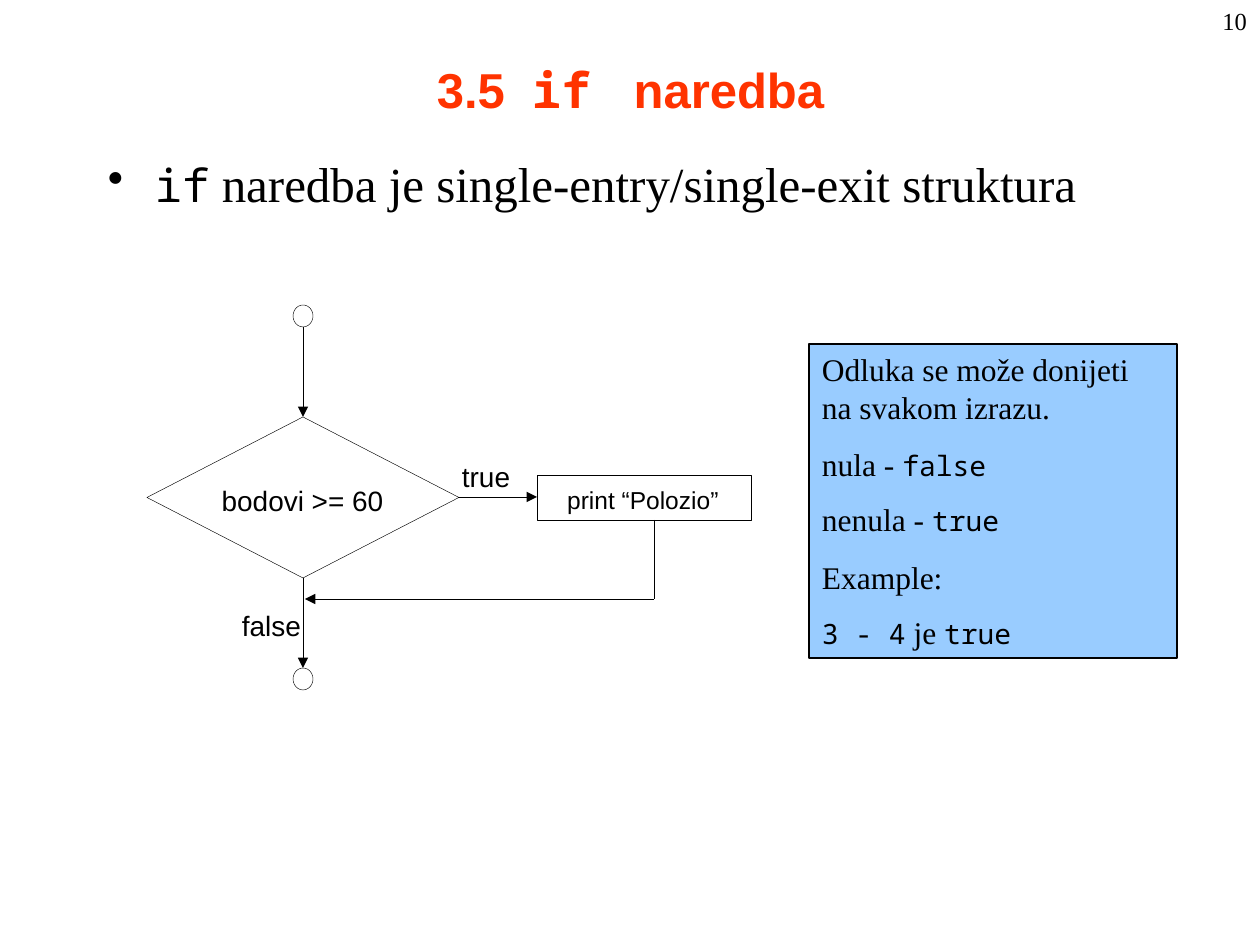
"""Build the slide on the if statement with its flowchart and note."""
from pptx import Presentation
from pptx import util as u
from pptx.dml.color import RGBColor
from pptx.enum import shapes, text
from pptx.oxml.ns import qn
from lxml import etree

SCALE = 914400 / 126


def px(n):
    return u.Emu(round(n * SCALE))


class Theme:
    black, white, red, blue = (
        RGBColor.from_string(c) for c in ("000000", "FFFFFF", "FF3300", "99CCFF"))
    thin, edge = 0.25, 0.75
    sans, mono, serif = "Arial", "Noto Sans Mono", "Times New Roman"
    fonts = {
        "title": (sans, 28, True, red),
        "code": (mono, 28, True, red),
        "body": (serif, 28, False, black),
        "bodycode": (mono, 26, False, black),
        "flow": (sans, 16, False, black),
        "step": (sans, 14, False, black),
        "note": (serif, 18, False, black),
        "notecode": (mono, 16, False, black),
        "page": (serif, 14, False, black),
    }


class Deck:
    def __init__(self, theme):
        self.theme = theme
        self.file = Presentation()
        self.file.slide_width, self.file.slide_height = px(1260), px(945)
        self.slide = self.file.slides.add_slide(self.file.slide_layouts[6])

    def style(self, item, values):
        for name, value in values.items():
            setattr(item, name, value)

    def fill_text(self, shape, paras, align="LEFT", anchor="TOP", pad=(13, 6)):
        frame = shape.text_frame
        side, top = map(px, pad)
        self.style(frame, {
            "word_wrap": True, "vertical_anchor": getattr(text.MSO_ANCHOR, anchor),
            "margin_left": side, "margin_right": side,
            "margin_top": top, "margin_bottom": top})
        for i, (gap, runs) in enumerate(paras):
            para = frame.add_paragraph() if i else frame.paragraphs[0]
            self.style(para, {"alignment": getattr(text.PP_ALIGN, align),
                              "space_before": u.Pt(gap)})
            for kind, words in runs:
                run = para.add_run()
                run.text = words
                face, size, bold, color = self.theme.fonts[kind]
                self.style(run.font, {"name": face, "size": u.Pt(size), "bold": bold})
                run.font.color.rgb = color
        return frame

    def label(self, box, paras, **look):
        item = self.slide.shapes.add_textbox(*map(px, box))
        return self.fill_text(item, paras, **look)

    def bullet(self, para, indent):
        props = para._p.get_or_add_pPr()
        props.set("marL", str(px(indent)))
        props.set("indent", str(px(-indent)))
        etree.SubElement(props, qn("a:buChar")).set("char", "•")

    def shape(self, kind, box, fill=None, width=Theme.thin):
        item = self.slide.shapes.add_shape(
            getattr(shapes.MSO_SHAPE, kind), *map(px, box))
        item.shadow.inherit = False
        if fill is None:
            item.fill.background()
        else:
            item.fill.solid()
            item.fill.fore_color.rgb = fill
        item.line.color.rgb = self.theme.black
        item.line.width = u.Pt(width)
        return item

    def line(self, ends, arrow=True):
        item = self.slide.shapes.add_connector(
            shapes.MSO_CONNECTOR.STRAIGHT, *map(px, ends))
        item.line.color.rgb = self.theme.black
        item.line.width = u.Pt(self.theme.thin)
        props = item._element.spPr
        if arrow:
            tip = etree.SubElement(props.find(qn("a:ln")), qn("a:tailEnd"))
            tip.set("type", "triangle")
        etree.SubElement(props, qn("a:effectLst"))


def main():
    deck = Deck(Theme)
    deck.label((95, 10, 1071, 158),
               [(0, [("title", "3.5  "), ("code", "if "), ("title", " naredba")])],
               align="CENTER", anchor="MIDDLE")
    body = deck.label((95, 148, 1071, 746), [
        (7, [("bodycode", "if"),
             ("body", " naredba je single-entry/single-exit struktura")])])
    deck.bullet(body.paragraphs[0], 47)

    axis, level, join = 303, 497, 599
    for start, end in ((327, 417), (578, 668)):
        deck.line((axis, start, axis, end))
    for top in (305, 668):
        deck.shape("OVAL", (axis - 10, top, 20, 22))
    deck.line((459, level, 537, level))
    deck.line((654, join, axis + 2, join))
    deck.line((654, 520, 654, join), arrow=False)
    deck.shape("DIAMOND", (axis - 156, 417, 312, 161), Theme.white)
    deck.shape("RECTANGLE", (537, 475, 214, 45))
    for box, kind, words, align in (
            ((462, 460, 69, 45), "flow", "true", "LEFT"),
            ((242, 608, 84, 45), "flow", "false", "LEFT"),
            ((215, 484, 175, 34), "flow", "bodovi >= 60", "CENTER"),
            ((550, 485, 186, 32), "step", "print “Polozio”", "CENTER")):
        deck.label(box, [(0, [(kind, words)])], align=align, pad=(0, 0))

    note = deck.shape("RECTANGLE", (809, 344, 368, 314), Theme.blue, Theme.edge)
    frame = deck.fill_text(note, [
        (11.2, [("note", "Odluka se može donijeti na svakom izrazu.")]),
        (11.2, [("note", "nula - "), ("notecode", "false"), ("note", " ")]),
        (10, [("note", "nenula - "), ("notecode", "true")]),
        (11.2, [("note", "Example:")]),
        (10, [("notecode", "3 - 4"), ("note", " je "), ("notecode", "true")])])
    frame.auto_size = text.MSO_AUTO_SIZE.SHAPE_TO_FIT_TEXT
    deck.label((998, 0, 262, 63), [(0, [("page", "10")])], align="RIGHT")
    deck.file.save("out.pptx")


if __name__ == "__main__":
    main()
